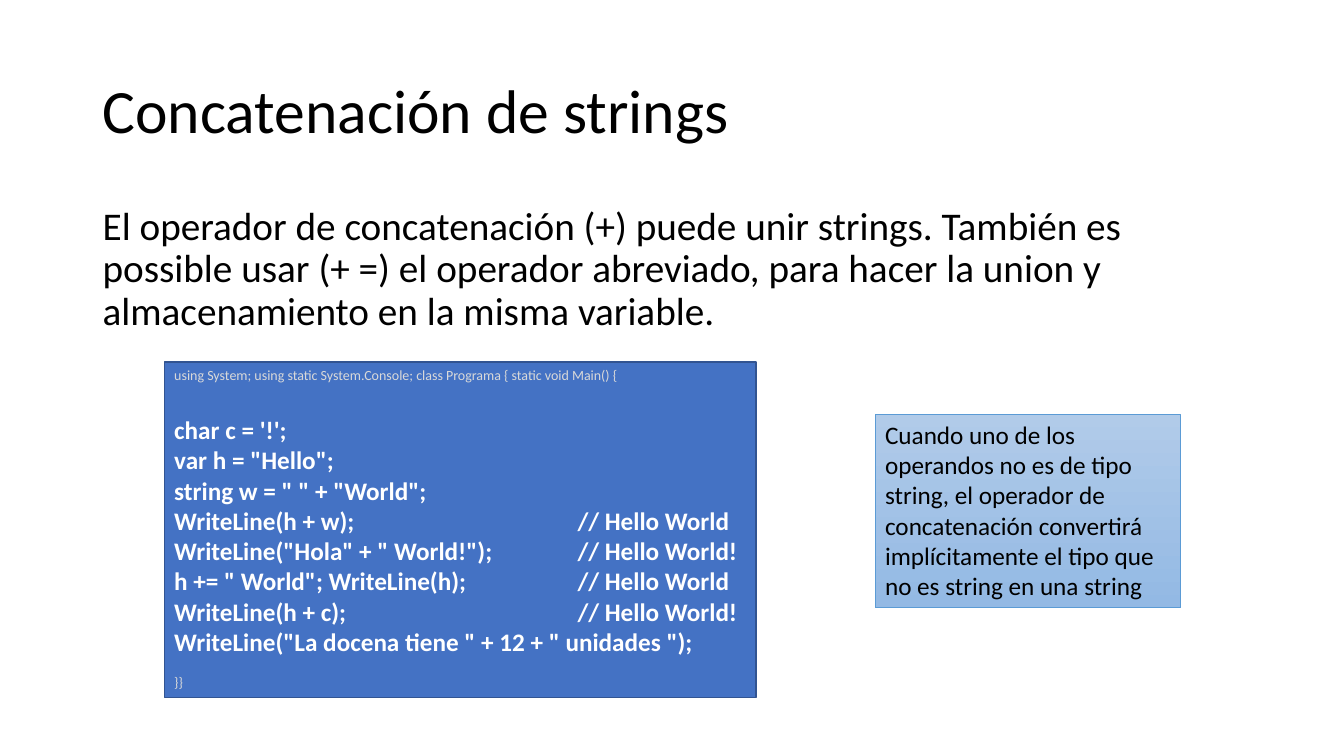
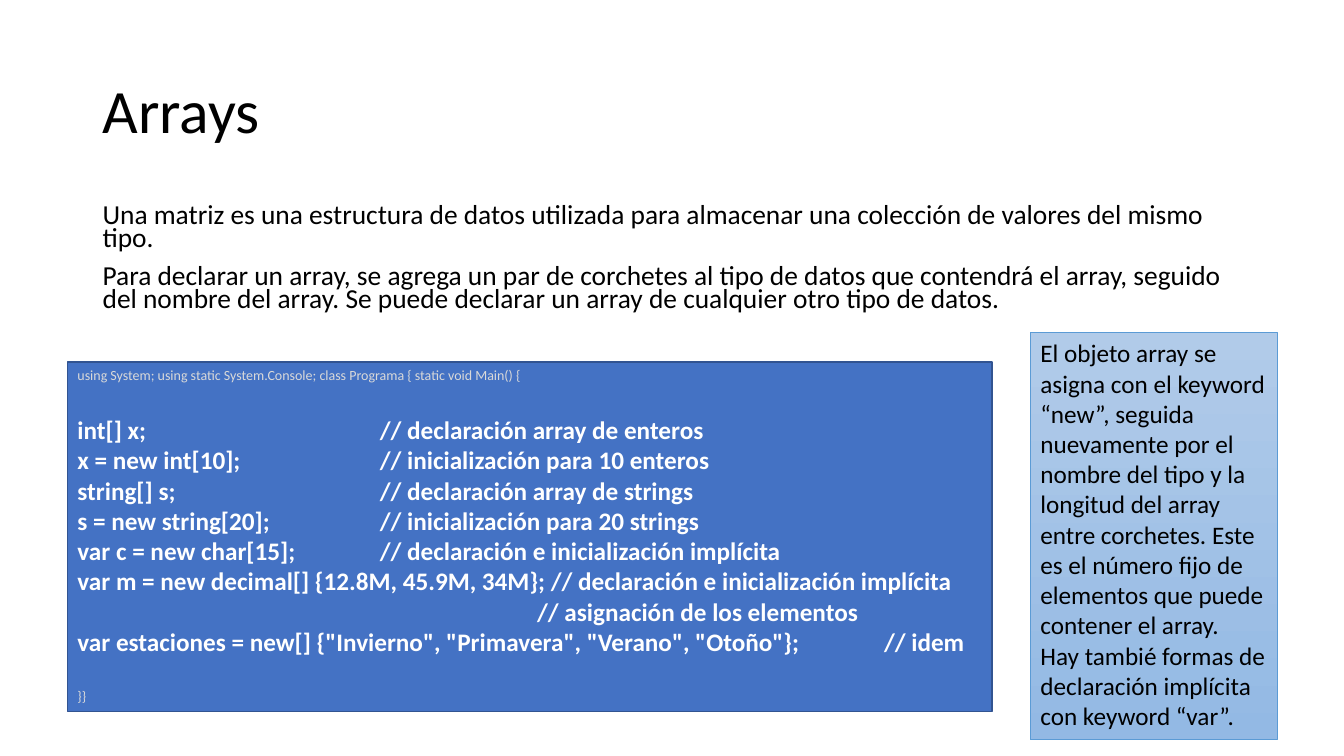
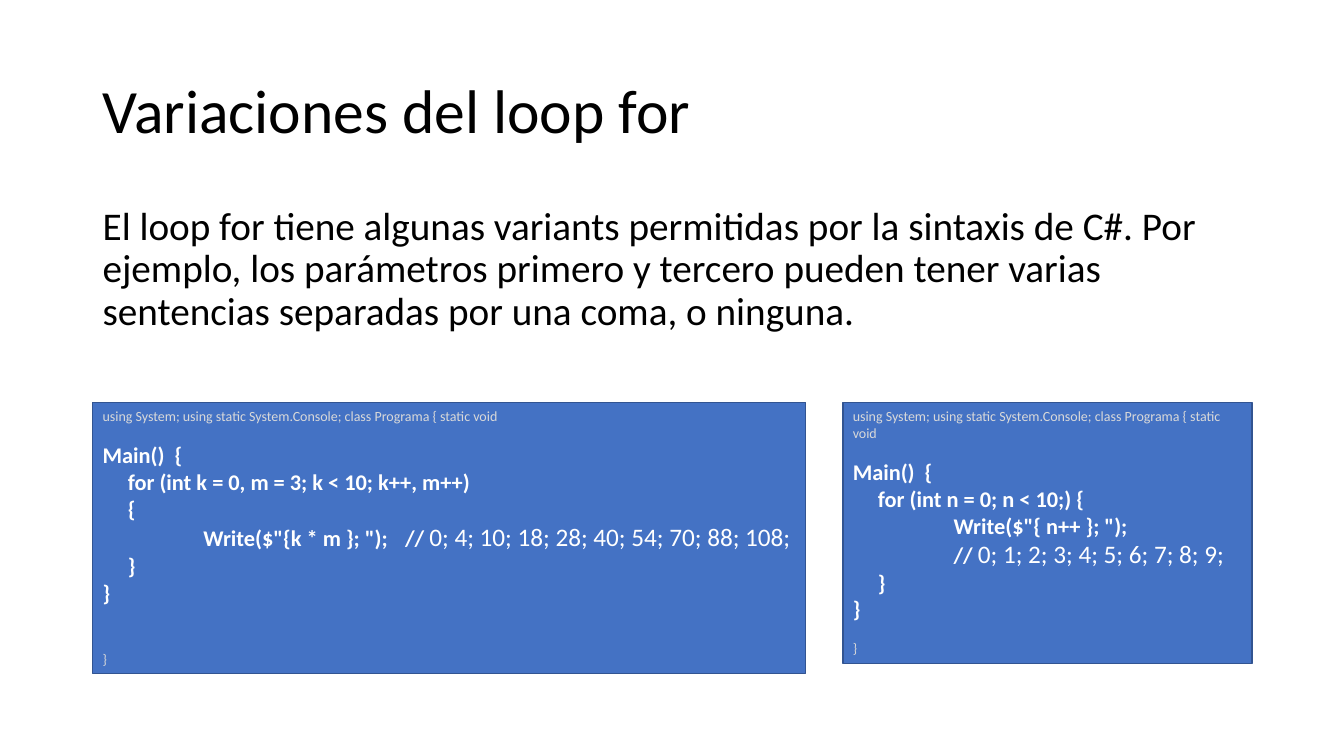
import pptx
import pptx.util
import pptx.dml.color
import pptx.enum.shapes
import pptx.enum.text
from dataclasses import dataclass
from lxml import etree

Inches, Pt = pptx.util.Inches, pptx.util.Pt
ANCHOR = pptx.enum.text.MSO_ANCHOR


def rgb(value):
    return pptx.dml.color.RGBColor.from_string(value)


@dataclass(frozen=True)
class Theme:
    font: str = "Calibri"
    ink: str = "000000"
    code_fill: str = "4472C4"
    code_line: str = "325491"
    code_text: str = "FFFFFF"
    frame_text: str = "D9D9D9"
    note_top: str = "B1CBE9"
    note_bottom: str = "93B9E4"
    note_line: str = "5B9BD5"
    title_size: float = 44
    body_size: float = 28
    text_size: float = 18
    frame_size: float = 10


class Deck:
    def __init__(self, theme):
        self.theme = theme
        self.prs = pptx.Presentation()
        self.prs.slide_width, self.prs.slide_height = Inches(13.33), Inches(7.5)
        self.s = None

    # Shared building blocks
    def _paragraph(self, tf, text, size, color, bold=False, before=0, spacing=1.0):
        p = tf.paragraphs[0]
        if p.runs:
            p = tf.add_paragraph()
        p.add_run().text = text
        p.alignment = pptx.enum.text.PP_ALIGN.LEFT
        p.space_before, p.line_spacing = Pt(before), spacing
        f = p.font
        f.name, f.size, f.bold = self.theme.font, Pt(size), bold
        f.color.rgb = rgb(color)
        return p

    def _text_box(self, top, height, anchor):
        box = self.s.shapes.add_textbox(Inches(0.92), Inches(top), Inches(11.5), Inches(height))
        tf = box.text_frame
        tf.word_wrap, tf.vertical_anchor = True, anchor
        return tf

    def _panel(self, at, line, width):
        sp = self.s.shapes.add_shape(pptx.enum.shapes.MSO_SHAPE.RECTANGLE,
                                     *[Inches(v) for v in at])
        sp.shadow.inherit = False
        sp.line.color.rgb, sp.line.width = rgb(line), Pt(width)
        sp.text_frame.word_wrap = True
        sp.text_frame.vertical_anchor = ANCHOR.TOP
        return sp

    def _tabs(self, p, stops):
        # The tab list goes before the default run properties
        ppr = p._p.get_or_add_pPr()
        ns = "{" + ppr.nsmap["a"] + "}"
        tabs = etree.Element(ns + "tabLst")
        for stop in stops:
            etree.SubElement(tabs, ns + "tab", pos=str(Inches(stop)), algn="l")
        ppr.find(ns + "defRPr").addprevious(tabs)

    # Elements
    def slide(self, title):
        t = self.theme
        self.s = self.prs.slides.add_slide(self.prs.slide_layouts[6])
        tf = self._text_box(0.4, 1.45, ANCHOR.MIDDLE)
        self._paragraph(tf, title, t.title_size, t.ink, spacing=0.9)

    def body(self, *texts, size=None, spacing=0.9):
        t = self.theme
        tf = self._text_box(2, 1.55, ANCHOR.TOP)
        for text in texts:
            self._paragraph(tf, text, size or t.body_size, t.ink, before=10, spacing=spacing)

    def note(self, at, *texts):
        t = self.theme
        sp = self._panel(at, t.note_line, 0.5)
        sp.fill.gradient()
        sp.fill.gradient_angle = 270
        for stop, color in zip(sp.fill.gradient_stops, (t.note_top, t.note_bottom)):
            stop.color.rgb = rgb(color)
        for text in texts:
            self._paragraph(sp.text_frame, text, t.text_size, t.ink)

    def code(self, at, header, lines, footer, tabs, gaps, size=None):
        """A line is a text, or a pair of code and its printed output."""
        t = self.theme
        sp = self._panel(at, t.code_line, 1)
        sp.fill.solid()
        sp.fill.fore_color.rgb = rgb(t.code_fill)
        tf = sp.text_frame
        self._paragraph(tf, header, t.frame_size, t.frame_text)
        for i, line in enumerate(lines):
            text, output = (line, "") if isinstance(line, str) else line
            p = self._paragraph(tf, text, size or t.text_size, t.code_text, bold=True,
                                before=0 if i else gaps[0])
            self._tabs(p, tabs)
            if output:
                r = p.add_run()
                r.text = output
                r.font.size, r.font.bold = Pt(t.text_size), False
        self._paragraph(tf, footer, t.frame_size, t.frame_text, before=gaps[1])


def main():
    deck = Deck(Theme())
    usings = "using System; using static System.Console; class Programa { static void"
    main_header = usings + " Main() {"

    # String concatenation
    deck.slide("Concatenación de strings")
    deck.body("El operador de concatenación (+) puede unir strings. También es possible usar "
              "(+ =) el operador abreviado, para hacer la union y almacenamiento en la misma "
              "variable.")
    deck.code((1.63, 3.59, 5.87, 3.33), main_header, [
        "char c = '!';",
        'var h = "Hello";',
        'string w = " " + "World";',
        "WriteLine(h + w);\t// Hello World",
        'WriteLine("Hola" + " World!");\t// Hello World!',
        'h += " World"; WriteLine(h);\t// Hello World',
        "WriteLine(h + c);\t// Hello World!",
        'WriteLine("La docena tiene " + 12 + " unidades ");',
    ], "}}", tabs=(4,), gaps=(22, 12.2))
    deck.note((8.68, 4.11, 3.03, 1.92),
              "Cuando uno de los operandos no es de tipo string, el operador de concatenación "
              "convertirá implícitamente el tipo que no es string en una string")

    # Arrays
    deck.slide("Arrays")
    deck.body("Una matriz es una estructura de datos utilizada para almacenar una colección de "
              "valores del mismo tipo.",
              "Para declarar un array, se agrega un par de corchetes al tipo de datos que "
              "contendrá el array, seguido del nombre del array. Se puede declarar un array de "
              "cualquier otro tipo de datos.", size=19.6, spacing=0.7)
    deck.code((0.67, 3.59, 9.17, 3.47), main_header, [
        "int[] x;\t// declaración array de enteros",
        "x = new int[10];\t// inicialización para 10 enteros",
        "string[] s;\t// declaración array de strings",
        "s = new string[20];\t// inicialización para 20 strings",
        "var c = new char[15];\t// declaración e inicialización implícita",
        "var m = new decimal[] {12.8M, 45.9M, 34M}; // declaración e inicialización implícita",
        "\t\t// asignación de los elementos",
        'var estaciones = new[] {"Invierno", "Primavera", "Verano", "Otoño"};\t// idem',
    ], "}}", tabs=(3, 4.56, 8), gaps=(22, 22))
    deck.note((10.22, 3.3, 2.45, 4.04),
              "El objeto array se asigna con el keyword “new”, seguida nuevamente por el nombre "
              "del tipo y la longitud del array entre corchetes. Este es el número fijo de "
              "elementos que puede contener el array.",
              "Hay tambié formas de declaración implícita con keyword “var”.")

    # Variants of the for loop
    deck.slide("Variaciones del loop for")
    deck.body("El loop for tiene algunas variants permitidas por la sintaxis de C#. Por ejemplo, "
              "los parámetros primero y tercero pueden tener varias sentencias separadas por una "
              "coma, o ninguna.")
    loops = [
        ((0.92, 3.99, 7.07, 2.69), 31.7, [
            "\tfor (int k = 0, m = 3; k < 10; k++, m++)",
            "\t{",
            ('\t\tWrite($"{k * m }; ");\t// ', "0; 4; 10; 18; 28; 40; 54; 70; 88; 108;"),
        ]),
        ((8.36, 3.99, 4.06, 2.59), 12.2, [
            "\tfor (int n = 0; n < 10;) {",
            '\t\tWrite($"{ n++ }; ");',
            ("\t\t// ", "0; 1; 2; 3; 4; 5; 6; 7; 8; 9;"),
        ]),
    ]
    for at, end_gap, loop in loops:
        deck.code(at, usings, ["Main()  {", *loop, "\t}", "}"], "}",
                  tabs=(0.25, 1, 3), gaps=(12.2, end_gap), size=16)

    deck.prs.save("out.pptx")


if __name__ == "__main__":
    main()
